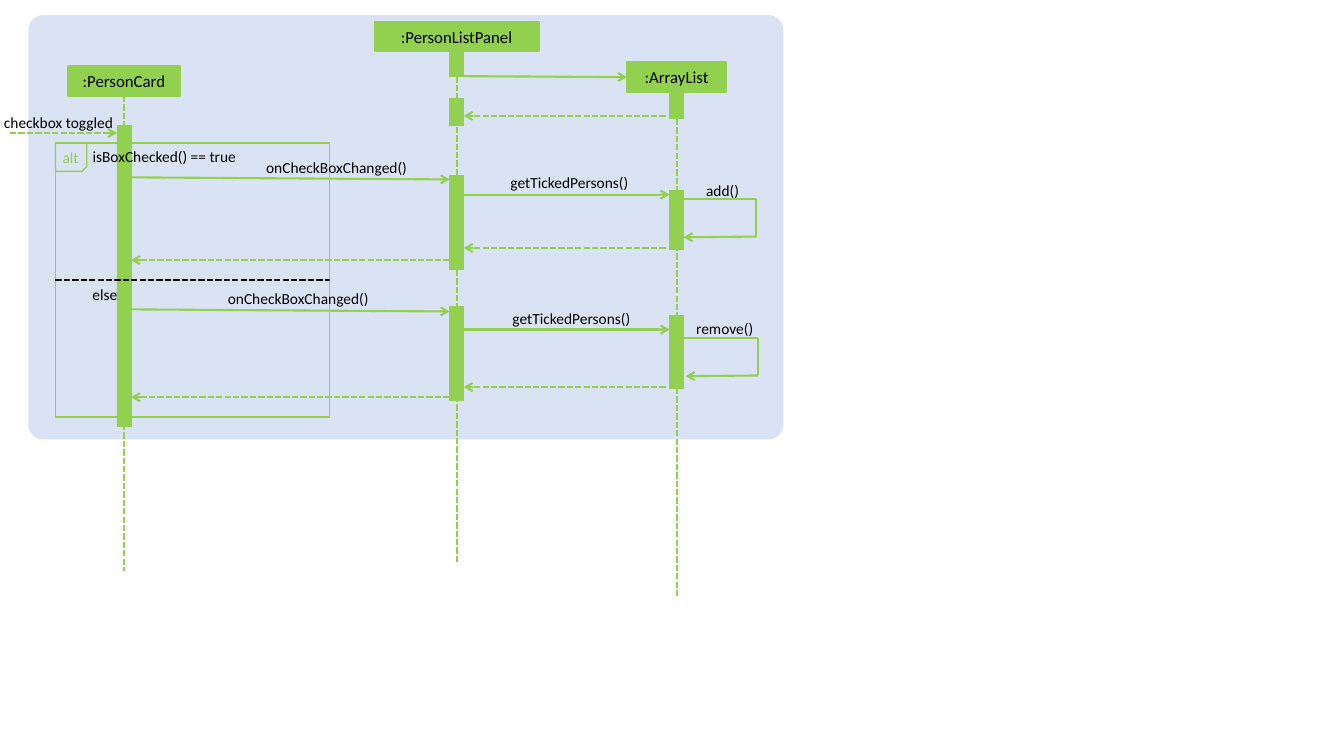
"""Build a sequence diagram slide of the checkbox handling between three objects."""
from lxml.etree import SubElement
from pptx import Presentation
from pptx.dml.color import RGBColor
from pptx.enum.dml import MSO_LINE
from pptx.enum.shapes import MSO_CONNECTOR, MSO_SHAPE
from pptx.enum.text import MSO_ANCHOR, MSO_AUTO_SIZE, PP_ALIGN
from pptx.oxml.ns import qn
from pptx.util import Pt

GREEN, BLACK, PALE_BLUE = "92D050", "000000", "DAE3F3"
FONT = "Calibri"
CARD_X, PANEL_X, LIST_X = 88.6, 326.2, 483.3
BAR_WIDTH = 10.1
HALF_BAR = BAR_WIDTH / 2
CARD_RIGHT = CARD_X + HALF_BAR
PANEL_LEFT, PANEL_RIGHT = PANEL_X - HALF_BAR, PANEL_X + HALF_BAR
LIST_LEFT, LIST_RIGHT = LIST_X - HALF_BAR, LIST_X + HALF_BAR
REPLY_START = 475.4

BACKGROUND = (20.2, 10.8, 539.3, 303.1)
FRAME = (39.6, 102.2, 195.8, 195.8)
FRAME_TAB = (39.6, 102.2, 22.3, 20.2)

HEADERS = [
    (":PersonCard", CARD_X, 47.5, 80),
    (":PersonListPanel", PANEL_X, 15.5, 117),
    (":ArrayList", LIST_X, 44.6, 71),
]
HEADER_HEIGHT = 21

BARS = [
    (CARD_X, 89.3, 215.3),
    (PANEL_X, 36, 18.7),
    (PANEL_X, 70.6, 18.7),
    (PANEL_X, 125.3, 67),
    (PANEL_X, 218.9, 67),
    (LIST_X, 66.2, 18.7),
    (LIST_X, 136.1, 41.8),
    (LIST_X, 225.4, 51.8),
]
LIST_FIRST_BAR = 5
LIFELINE_ENDS = [408.2, 402.5, 425.5]

CALLS = [
    (CARD_RIGHT, 126.7, PANEL_LEFT, 128.2),
    (PANEL_RIGHT, 139, LIST_LEFT, 139),
    (CARD_RIGHT, 221, PANEL_LEFT, 222.5),
    (PANEL_RIGHT, 235.4, LIST_LEFT, 235.4),
]
DASHED_ARROWS = [
    (7.2, 95, CARD_X - HALF_BAR, 95),
    (REPLY_START, 82.8, PANEL_RIGHT, 82.8),
    (REPLY_START, 177.1, PANEL_RIGHT, 177.1),
    (PANEL_LEFT, 185.8, CARD_RIGHT, 185.8),
    (REPLY_START, 276.5, PANEL_RIGHT, 276.5),
    (PANEL_LEFT, 283.7, CARD_RIGHT, 283.7),
]
SELF_CALLS = [(540.2, 142.4, LIST_RIGHT), (541.6, 241.6, LIST_RIGHT + 1.4)]
SELF_CALL_DROP = 26.6

LABELS = [
    ("checkbox toggled", 41.8, 80.6, 121, BLACK),
    ("alt", 50.4, 105.8, 34.6, GREEN),
    ("isBoxChecked() == true", 117.4, 105.1, 121, BLACK),
    ("else", 74.9, 203.8, 121, BLACK),
    ("onCheckBoxChanged()", 240.5, 113, 168.5, BLACK),
    ("onCheckBoxChanged()", 213.1, 206.6, 168.5, BLACK),
    ("getTickedPersons()", 406.8, 123.8, 168.5, BLACK),
    ("getTickedPersons()", 408.2, 221, 168.5, BLACK),
    ("add()", 516.2, 129.6, 168.5, BLACK),
    ("remove()", 517.7, 228.2, 168.5, BLACK),
]
LABEL_HEIGHT = 13.5


def colour(value):
    return RGBColor.from_string(value)


def add_box(slide, kind, box, fill=None, line=None, width=1):
    shape = slide.shapes.add_shape(kind, *[Pt(length) for length in box])
    shape.shadow.inherit = False
    if fill:
        shape.fill.solid()
        shape.fill.fore_color.rgb = colour(fill)
    else:
        shape.fill.background()
    if line:
        shape.line.color.rgb = colour(line)
        shape.line.width = Pt(width)
    else:
        shape.line.fill.background()
    return shape


def add_line(slide, ends, line=GREEN, dashed=False, arrow=False):
    connector = slide.shapes.add_connector(
        MSO_CONNECTOR.STRAIGHT, *[Pt(length) for length in ends])
    connector.line.color.rgb = colour(line)
    connector.line.width = Pt(1.5)
    if dashed:
        connector.line.dash_style = MSO_LINE.SQUARE_DOT
    if arrow:
        SubElement(connector.line._get_or_add_ln(), qn("a:tailEnd"), type="arrow")
    SubElement(connector.element.spPr, qn("a:effectLst"))
    return connector


def write(shape, text, size, text_colour):
    paragraph = shape.text_frame.paragraphs[0]
    paragraph.text = text
    paragraph.alignment = PP_ALIGN.CENTER
    paragraph.font.name = FONT
    paragraph.font.size = Pt(size)
    paragraph.font.color.rgb = colour(text_colour)


def add_label(slide, text, centre, top, width, text_colour):
    label = slide.shapes.add_textbox(
        Pt(centre - width / 2), Pt(top), Pt(width), Pt(LABEL_HEIGHT))
    frame = label.text_frame
    frame.margin_left = frame.margin_right = frame.margin_top = frame.margin_bottom = 0
    frame.word_wrap = True
    frame.auto_size = MSO_AUTO_SIZE.SHAPE_TO_FIT_TEXT
    write(label, text, 11, text_colour)


def add_participants(slide):
    headers = []
    for text, centre, top, width in HEADERS:
        header = add_box(slide, MSO_SHAPE.RECTANGLE,
                         (centre - width / 2, top, width, HEADER_HEIGHT), GREEN, GREEN, 1.5)
        header.text_frame.vertical_anchor = MSO_ANCHOR.MIDDLE
        write(header, text, 12, BLACK)
        headers.append(header)
    bars = [add_box(slide, MSO_SHAPE.RECTANGLE,
                    (centre - HALF_BAR, top, BAR_WIDTH, height), GREEN, GREEN, 0.5)
            for centre, top, height in BARS]
    starts = [headers[0], headers[1], bars[LIST_FIRST_BAR]]
    for start, (_, centre, top, _), end in zip(starts, HEADERS, LIFELINE_ENDS):
        lifeline = add_line(slide, (centre, top, centre, end), dashed=True)
        lifeline.begin_connect(start, 2)
    creation = add_line(slide, (PANEL_RIGHT, 54.4, 449.3, 54), arrow=True)
    creation.end_connect(headers[2], 1)


def add_alternative_frame(slide):
    frame = add_box(slide, MSO_SHAPE.RECTANGLE, FRAME, line=GREEN)
    tab = add_box(slide, MSO_SHAPE.SNIP_1_RECTANGLE, FRAME_TAB, line=GREEN)
    tab.rotation = 180
    tab.element.spPr.get_or_add_xfrm().set("flipH", "1")
    left, top, width, height = FRAME
    middle = top + height / 2
    divider = add_line(slide, (left, middle, left + width, middle), BLACK, dashed=True)
    divider.begin_connect(frame, 1)
    divider.end_connect(frame, 3)


def main():
    presentation = Presentation()
    presentation.slide_width, presentation.slide_height = Pt(960), Pt(540)
    slide = presentation.slides.add_slide(presentation.slide_layouts[6])
    background = add_box(slide, MSO_SHAPE.ROUNDED_RECTANGLE, BACKGROUND, PALE_BLUE)
    background.adjustments[0] = 0.035
    add_participants(slide)
    add_alternative_frame(slide)
    for ends in CALLS:
        add_line(slide, ends, arrow=True)
    for ends in DASHED_ARROWS:
        add_line(slide, ends, dashed=True, arrow=True)
    for right, top, tip in SELF_CALLS:
        bottom = top + SELF_CALL_DROP
        add_line(slide, (LIST_RIGHT, top, right, top))
        add_line(slide, (right, top, right, bottom))
        add_line(slide, (right, bottom, tip, bottom + 0.5), arrow=True)
    for label in LABELS:
        add_label(slide, *label)
    presentation.save("out.pptx")


if __name__ == "__main__":
    main()
